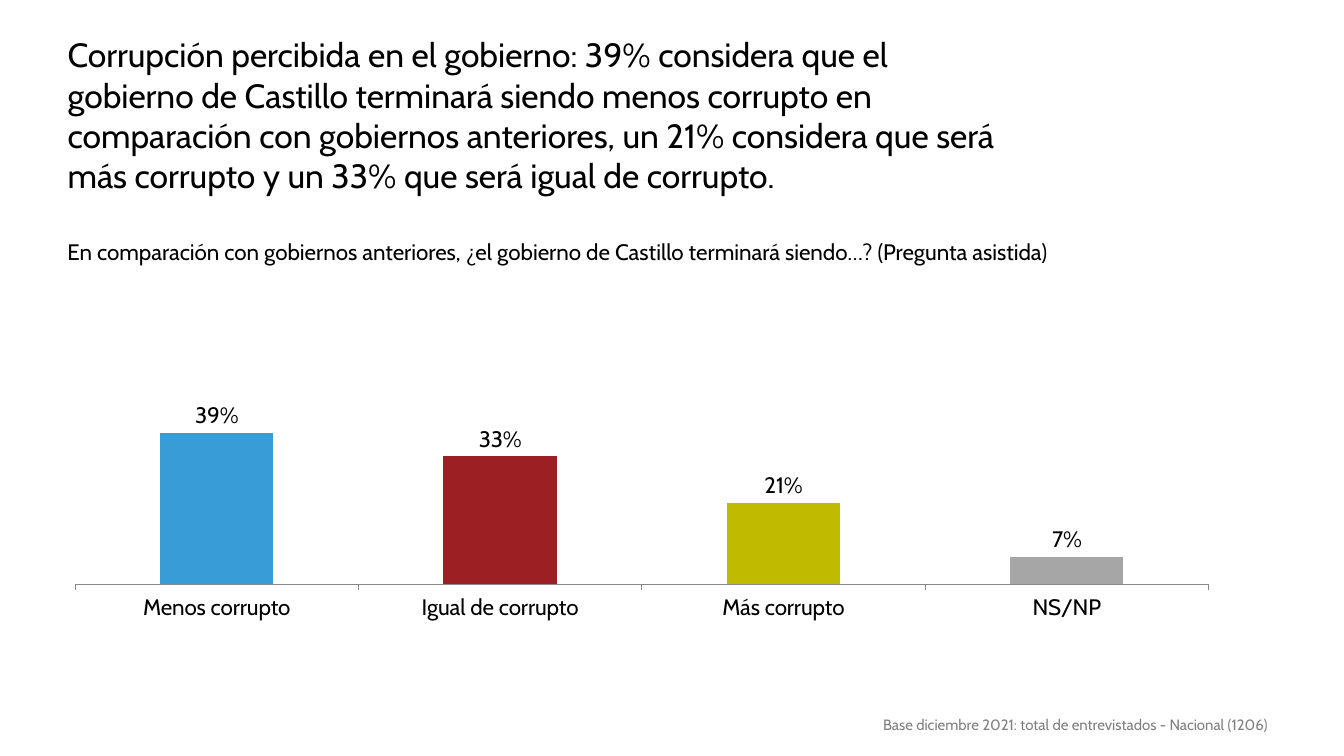
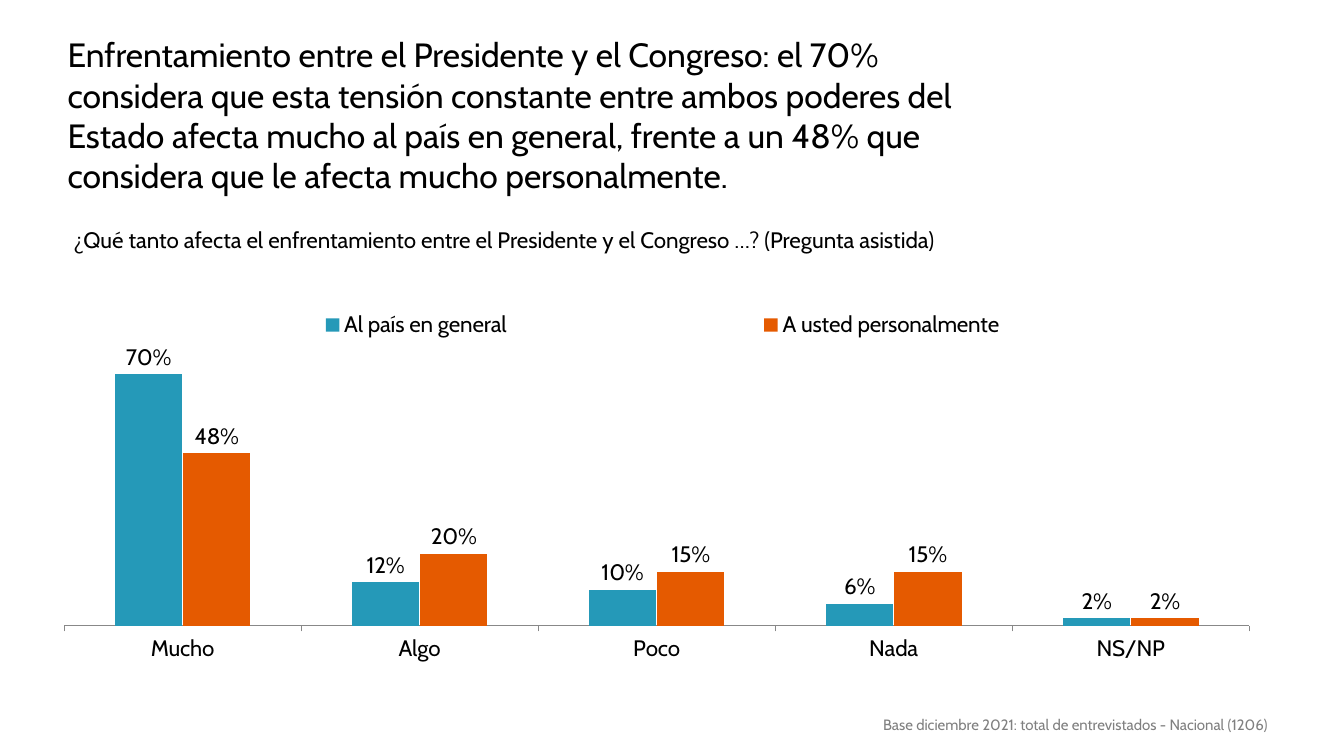
from lxml import etree
from pptx import Presentation
from pptx.chart.data import CategoryChartData
from pptx.dml.color import RGBColor
from pptx.enum.chart import XL_CHART_TYPE, XL_LABEL_POSITION, XL_LEGEND_POSITION, XL_TICK_MARK
from pptx.enum.text import MSO_ANCHOR, MSO_AUTO_SIZE, PP_ALIGN
from pptx.oxml.ns import qn
from pptx.util import Inches, Pt

COLUMNS = XL_CHART_TYPE.COLUMN_CLUSTERED
OUT_END = XL_LABEL_POSITION.OUTSIDE_END
TOP_KEY = XL_LEGEND_POSITION.TOP
TICK_OUT, TICK_NONE = XL_TICK_MARK.OUTSIDE, XL_TICK_MARK.NONE
TOP = MSO_ANCHOR.TOP
NO_FIT = MSO_AUTO_SIZE.NONE
LEFT, JUSTIFY = PP_ALIGN.LEFT, PP_ALIGN.JUSTIFY

FONT = "Cabin"
COLORS = {
    "text": "000000",
    "base": "808080",
    "axis": "888888",
    "less": "389DD7",
    "same": "9B1F23",
    "more": "C1BB00",
    "none": "A6A6A6",
    "land": "2599B8",
    "self": "E55A00",
}
BASE = "Base diciembre 2021: total de entrevistados - Nacional (1206)"
BASE_BOX = (8.66, 7.07, 4.2, 0.26)


def color(name):
    return RGBColor.from_string(COLORS[name])


def style(font, size, name="text"):
    font.name = FONT
    font.size = Pt(size)
    font.bold = False
    font.color.rgb = color(name)


def paint(item, name):
    item.format.fill.solid()
    item.format.fill.fore_color.rgb = color(name)


def place(shape, box):
    shape.left, shape.top, shape.width, shape.height = map(Inches, box)


def write(shape, text, size, name="text", align=LEFT, space=1.0):
    frame = shape.text_frame
    frame.word_wrap = True
    frame.auto_size = NO_FIT
    frame.vertical_anchor = TOP
    para = frame.paragraphs[0]
    para.alignment = align
    para.line_spacing = space
    run = para.add_run()
    run.text = text
    style(run.font, size, name)


def add_text(slide, box, text, size, **look):
    write(slide.shapes.add_textbox(*map(Inches, box)), text, size, **look)


def set_layout(parent, index, box, inner=False):
    for old in parent.findall(qn("c:layout")):
        parent.remove(old)
    layout = etree.Element(qn("c:layout"))
    manual = etree.SubElement(layout, qn("c:manualLayout"))
    parts = [("layoutTarget", "inner")] if inner else []
    parts += [("xMode", "edge"), ("yMode", "edge")]
    parts += zip("xywh", box)
    for tag, value in parts:
        etree.SubElement(manual, qn("c:" + tag)).set("val", str(value))
    parent.insert(index, layout)


def add_legend(chart, box):
    chart.has_legend = True
    legend = chart.legend
    legend.position = TOP_KEY
    legend.include_in_layout = False
    style(legend.font, 16)
    set_layout(chart.element.find(".//" + qn("c:legend")), 1, box)


def add_columns(slide, box, cats, series, plot_box, points=(), key_box=None):
    data = CategoryChartData(number_format="0%")
    data.categories = cats
    for name, values, _ in series:
        data.add_series(name, values)
    chart = slide.shapes.add_chart(COLUMNS, *map(Inches, box), data).chart
    chart.has_title = False
    chart.has_legend = False
    style(chart.font, 16)

    axis = chart.category_axis
    axis.major_tick_mark = TICK_OUT
    axis.minor_tick_mark = TICK_NONE
    axis.format.line.color.rgb = color("axis")
    axis.format.line.width = Pt(0.75)
    style(axis.tick_labels.font, 16)
    scale = chart.value_axis
    scale.minimum_scale, scale.maximum_scale = 0, 1
    scale.has_major_gridlines = False
    scale.visible = False

    plot = chart.plots[0]
    plot.vary_by_categories = False
    plot.gap_width = 150
    plot.overlap = -1
    plot.has_data_labels = True
    labels = plot.data_labels
    labels.show_value = True
    labels.position = OUT_END
    labels.number_format = "0%"
    labels.number_format_is_linked = False
    style(labels.font, 16)
    for item, (_, _, name) in zip(plot.series, series):
        paint(item, name)
    for index, name in enumerate(points):
        paint(plot.series[0].points[index], name)
    set_layout(chart.element.find(".//" + qn("c:plotArea")), 0, plot_box, True)
    if key_box:
        add_legend(chart, key_box)


def add_page(deck, title, title_box, ask, ask_box, **columns):
    slide = deck.slides.add_slide(deck.slide_layouts[5])
    add_text(slide, BASE_BOX, BASE, 10.7, name="base", align=JUSTIFY, space=0.9)
    place(slide.shapes.title, title_box)
    write(slide.shapes.title, title, 24)
    add_text(slide, ask_box, ask, 16)
    add_columns(slide, **columns)


def main():
    deck = Presentation()
    deck.slide_width, deck.slide_height = Inches(13.33), Inches(7.5)
    add_page(
        deck,
        "Corrupción percibida en el gobierno: 39% considera que el gobierno de "
        "Castillo terminará siendo menos corrupto en comparación con gobiernos "
        "anteriores, un 21% considera que será más corrupto y un 33% que será "
        "igual de corrupto.",
        (0.57, 0.29, 9.55, 1.86),
        "En comparación con gobiernos anteriores, ¿el gobierno de Castillo "
        "terminará siendo…? (Pregunta asistida)",
        (0.57, 2.31, 10.38, 0.37),
        box=(0.74, 1.81, 11.36, 4.69),
        cats=["Menos corrupto", "Igual de corrupto", "Más corrupto", "NS/NP"],
        series=[("Series 1", (0.39, 0.33, 0.21, 0.07), "less")],
        plot_box=(0, 0.03, 0.99, 0.82),
        points=("less", "same", "more", "none"),
    )
    add_page(
        deck,
        "Enfrentamiento entre el Presidente y el Congreso: el 70% considera que "
        "esta tensión constante entre ambos poderes del Estado afecta mucho al "
        "país en general, frente a un 48% que considera que le afecta mucho "
        "personalmente.",
        (0.57, 0.29, 9.64, 1.24),
        "¿Qué tanto afecta el enfrentamiento entre el Presidente y el Congreso "
        "…? (Pregunta asistida)",
        (0.63, 2.19, 8.95, 0.37),
        box=(0.63, 2.56, 11.88, 4.29),
        cats=["Mucho", "Algo", "Poco", "Nada", "NS/NP"],
        series=[
            ("Al país en general", (0.7, 0.12, 0.1, 0.06, 0.02), "land"),
            ("A usted personalmente", (0.48, 0.2, 0.15, 0.15, 0.02), "self"),
        ],
        plot_box=(0, 0.02, 0.99, 0.83),
        key_box=(0.01, 0.1, 0.98, 0.11),
    )
    deck.save("out.pptx")


if __name__ == "__main__":
    main()
